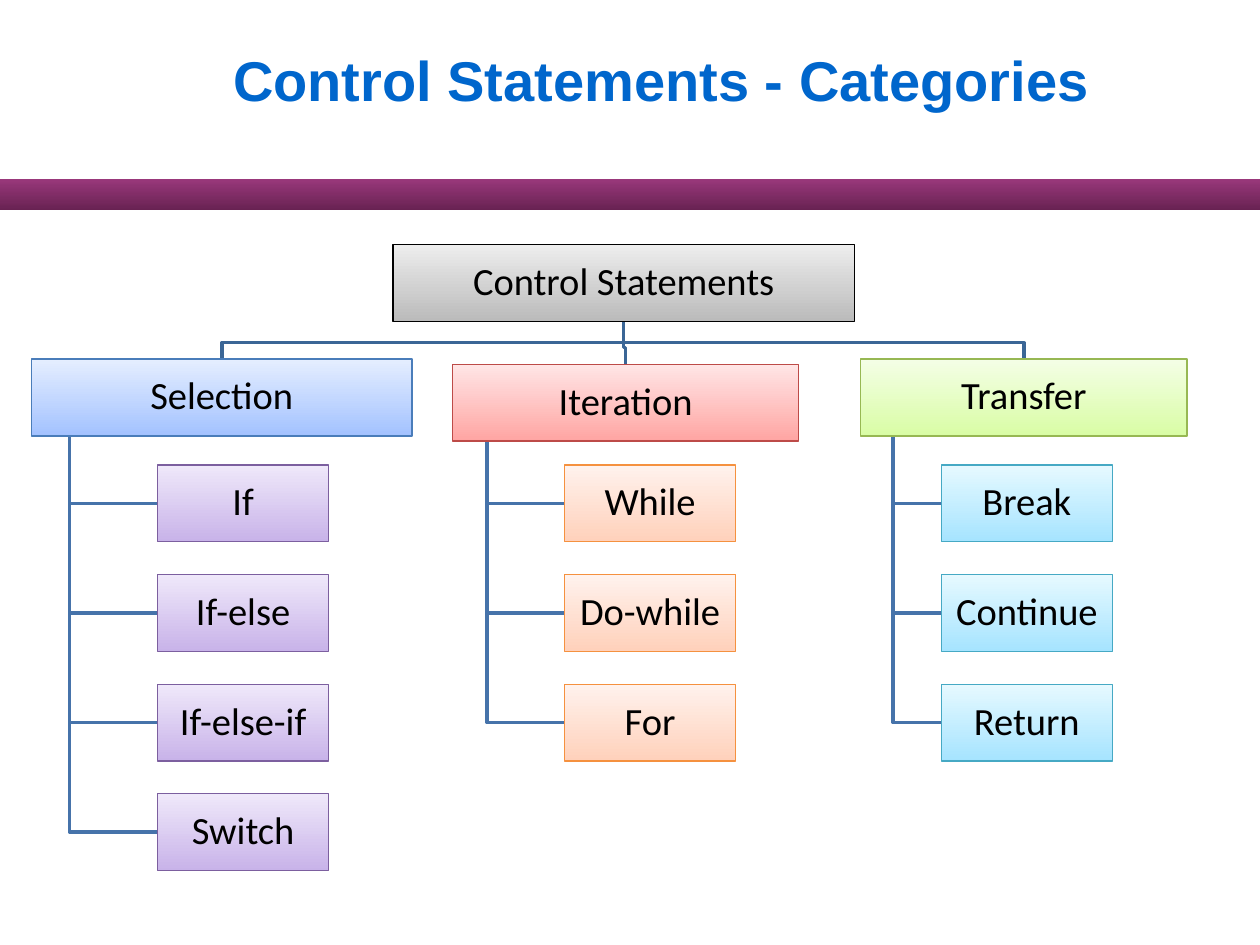
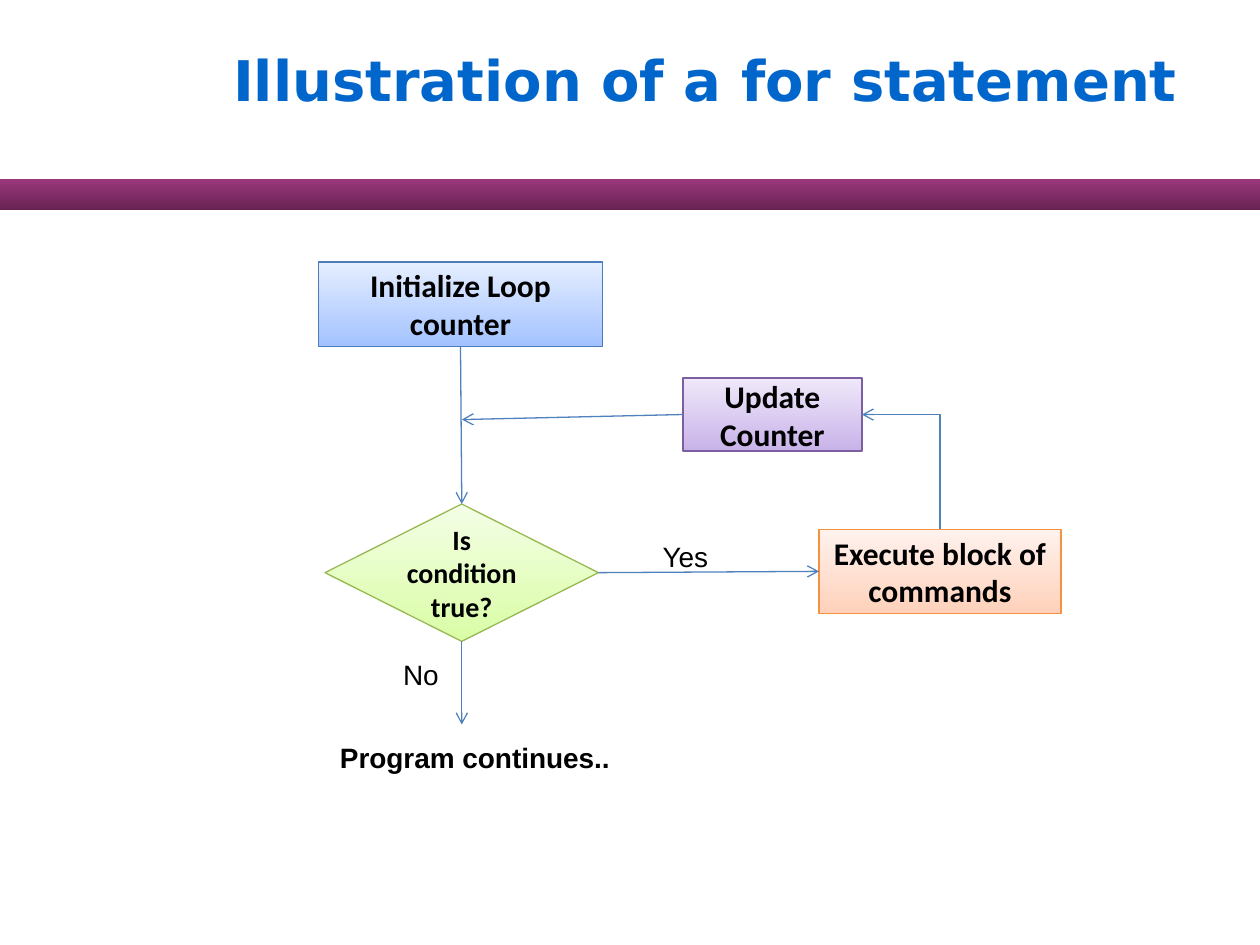
import dataclasses

import pptx
import pptx.dml.color
import pptx.enum.shapes
import pptx.enum.text
import pptx.oxml
import pptx.oxml.ns
import pptx.util

Inches = pptx.util.Inches
Pt = pptx.util.Pt
Shapes = pptx.enum.shapes.MSO_SHAPE
Connectors = pptx.enum.shapes.MSO_CONNECTOR
Align = pptx.enum.text.PP_ALIGN
Anchor = pptx.enum.text.MSO_ANCHOR
AutoSize = pptx.enum.text.MSO_AUTO_SIZE


@dataclasses.dataclass(frozen=True)
class Paint:
    """Vertical gradient from top to bottom with an optional outline."""

    top: str
    bottom: str
    line: str | None = None


@dataclasses.dataclass(frozen=True)
class Theme:
    """Colours, fonts and type sizes of the deck."""

    title_color: str = "0066CC"
    text_color: str = "000000"
    trunk_color: str = "3B6696"
    branch_color: str = "4673AA"
    arrow_color: str = "4F81BD"
    band: Paint = Paint("99387B", "682252")
    gray: Paint = Paint("EDEDED", "BBBBBB", "000000")
    blue: Paint = Paint("E5EEFF", "A3C2FF", "4A7DBA")
    red: Paint = Paint("FFE6E6", "FFA5A3", "BD4B48")
    green: Paint = Paint("F4FEE6", "D9FDA5", "97B853")
    purple: Paint = Paint("EFE8FA", "C8B3E9", "7C5F9F")
    orange: Paint = Paint("FFF2ED", "FFD1BB", "F5913F")
    cyan: Paint = Paint("E6F9FF", "A6E4FF", "46A9C4")
    label_font: str = "Arial"
    node_font: str = "Calibri"
    title_size: int = 32
    tree_size: int = 22
    step_size: int = 18
    label_size: int = 16
    thin_line: float = 0.75
    tree_line: float = 2


THEME = Theme()


@dataclasses.dataclass(frozen=True)
class Box:
    """Rectangle in inches."""

    left: float
    top: float
    width: float
    height: float

    @property
    def right(self):
        """Return the right edge."""
        return self.left + self.width

    @property
    def bottom(self):
        """Return the bottom edge."""
        return self.top + self.height

    @property
    def center(self):
        """Return the horizontal centre."""
        return self.left + self.width / 2

    @property
    def middle(self):
        """Return the vertical centre."""
        return self.top + self.height / 2

    def inner(self, left, top, width, height):
        """Return a box placed relative to this one."""
        return Box(self.left + left, self.top + top, width, height)

    def lengths(self):
        """Return the four values as lengths."""
        return [Inches(value) for value in dataclasses.astuple(self)]


def rgb(color):
    """Return a colour object for a hex string."""
    return pptx.dml.color.RGBColor.from_string(color)


def write_text(frame, text, *, font, size, color=THEME.text_color, bold=False,
               align=Align.LEFT, anchor=Anchor.MIDDLE, margins=(0.1, 0.05),
               wrap=True, auto_size=AutoSize.NONE, line_spacing=None):
    """Fill a text frame with one formatted paragraph."""
    frame.text = text
    frame.word_wrap = wrap
    frame.auto_size = auto_size
    frame.vertical_anchor = anchor
    frame.margin_left = frame.margin_right = Inches(margins[0])
    frame.margin_top = frame.margin_bottom = Inches(margins[1])
    paragraph = frame.paragraphs[0]
    paragraph.alignment = align
    paragraph.line_spacing = line_spacing
    run_font = paragraph.runs[0].font
    run_font.name = font
    run_font.size = Pt(size)
    run_font.bold = bold
    run_font.color.rgb = rgb(color)


def add_panel(slide, box, paint, kind=Shapes.RECTANGLE):
    """Add a gradient shape and return it."""
    shape = slide.shapes.add_shape(kind, *box.lengths())
    shape.shadow.inherit = False
    shape.fill.gradient()
    shape.fill.gradient_angle = 90
    for stop, color in zip(shape.fill.gradient_stops, (paint.bottom, paint.top)):
        stop.color.rgb = rgb(color)
    if paint.line:
        shape.line.color.rgb = rgb(paint.line)
        shape.line.width = Pt(THEME.thin_line)
    else:
        shape.line.fill.background()
    return shape


def add_polyline(slide, points, color):
    """Add an open outline through points given in inches."""
    corners = [(Inches(x), Inches(y)) for x, y in points]
    builder = slide.shapes.build_freeform(*corners[0])
    builder.add_line_segments(corners[1:], close=False)
    shape = builder.convert_to_shape()
    shape.shadow.inherit = False
    shape.fill.background()
    shape.line.color.rgb = rgb(color)
    shape.line.width = Pt(THEME.tree_line)


def add_arrow(slide, start, end, arrow_end="tailEnd", preset="line"):
    """Add a connector with an open arrowhead at one end."""
    ends = [Inches(value) for value in (*start, *end)]
    connector = slide.shapes.add_connector(Connectors.STRAIGHT, *ends)
    connector.line.color.rgb = rgb(THEME.arrow_color)
    connector.line.width = Pt(THEME.thin_line)
    properties = connector.element.spPr
    properties.find(pptx.oxml.ns.qn("a:prstGeom")).set("prst", preset)
    namespace = pptx.oxml.ns.nsdecls("a")
    line = properties.find(pptx.oxml.ns.qn("a:ln"))
    line.append(pptx.oxml.parse_xml(f'<a:{arrow_end} {namespace} type="arrow"/>'))
    properties.append(pptx.oxml.parse_xml(f"<a:effectLst {namespace}/>"))


def add_titled_slide(presentation, title, font):
    """Add a title-only slide with its formatted title."""
    slide = presentation.slides.add_slide(presentation.slide_layouts[5])
    placeholder = slide.shapes.title
    placeholder.left, placeholder.top, placeholder.width, placeholder.height = (
        Box(1.75, 0, 8.25, 1.25).lengths())
    write_text(placeholder.text_frame, title, font=font, size=THEME.title_size,
               color=THEME.title_color, bold=True)
    return slide


def move_band_to_layout(slide, box):
    """Draw the title band and hand it to the layout shared by all slides."""
    band = add_panel(slide, box, THEME.band)
    slide.slide_layout.shapes.element.insert(2, band.element)


def draw_tree_node(slide, box, text, paint):
    """Draw one labelled box of the hierarchy."""
    shape = add_panel(slide, box, paint)
    write_text(shape.text_frame, text, font=THEME.node_font, size=THEME.tree_size,
               align=Align.CENTER, margins=(0.02, 0.02), line_spacing=0.9)


def draw_branch(slide, header, children, name, header_paint, statements, child_paint):
    """Draw a category header with its statements hanging below it."""
    trunk = header.left + header.width / 10
    for index, statement in enumerate(statements):
        child = children.inner(0, 0.87 * index, children.width, children.height)
        add_polyline(slide, [(trunk, header.bottom), (trunk, child.middle),
                             (child.left, child.middle)], THEME.branch_color)
        draw_tree_node(slide, child, statement, child_paint)
    draw_tree_node(slide, header, name, header_paint)


def draw_hierarchy(slide, box):
    """Draw the control statement categories inside a box."""
    height = 0.61
    root = box.inner(2.87, 0, 3.66, height)
    branches = [
        (0, 0.91, 3.02, 1, "Selection", THEME.blue,
         ["If", "If-else", "If-else-if", "Switch"], THEME.purple),
        (3.34, 0.95, 2.75, 4.23, "Iteration", THEME.red,
         ["While", "Do-while", "For"], THEME.orange),
        (6.58, 0.91, 2.59, 7.22, "Transfer", THEME.green,
         ["Break", "Continue", "Return"], THEME.cyan),
    ]
    for left, top, width, child_left, *content in branches:
        header = box.inner(left, top, width, height)
        elbow = header.top - 0.13
        add_polyline(slide, [(root.center, root.bottom), (root.center, elbow),
                             (header.center, elbow), (header.center, header.top)],
                     THEME.trunk_color)
        draw_branch(slide, header, box.inner(child_left, 1.75, 1.36, height), *content)
    draw_tree_node(slide, root, "Control Statements", THEME.gray)


def draw_flowchart(slide, box):
    """Draw the flow of a for statement inside a box."""
    start = box.inner(0, 0, 2.25, 0.67)
    decision = box.inner(0.05, 1.92, 2.17, 1.09)
    update = box.inner(2.89, 0.92, 1.42, 0.58)
    body = box.inner(3.97, 2.12, 1.92, 0.67)
    process = Shapes.FLOWCHART_PROCESS
    steps = [
        (start, "Initialize Loop counter", THEME.blue, process, THEME.step_size),
        (decision, "Is condition true?", THEME.green, Shapes.FLOWCHART_DECISION,
         THEME.label_size),
        (update, "Update Counter", THEME.purple, process, THEME.step_size),
        (body, "Execute block of commands", THEME.orange, process, THEME.step_size),
    ]
    for place, text, paint, kind, size in steps:
        shape = add_panel(slide, place, paint, kind)
        write_text(shape.text_frame, text, font=THEME.node_font, size=size,
                   bold=True, align=Align.CENTER)

    add_arrow(slide, (decision.right, decision.middle), (body.left, body.middle))
    add_arrow(slide, (start.center, start.bottom), (decision.center, decision.top))
    add_arrow(slide, (decision.center, decision.bottom),
              (decision.center, decision.bottom + 0.66))
    add_arrow(slide, (update.left, update.middle), (decision.center, box.top + 1.25))
    add_arrow(slide, (update.right, update.middle), (body.center, body.top),
              arrow_end="headEnd", preset="bentConnector2")

    labels = [
        (2.63, 2.15, 0.58, "Yes", False),
        (0.57, 3.09, 0.48, "No", False),
        (0.07, 3.75, 2.34, "Program continues..", True),
    ]
    for left, top, width, text, bold in labels:
        label = slide.shapes.add_textbox(*box.inner(left, top, width, 0.37).lengths())
        write_text(label.text_frame, text, font=THEME.label_font, size=THEME.label_size,
                   bold=bold, anchor=Anchor.TOP, wrap=False,
                   auto_size=AutoSize.SHAPE_TO_FIT_TEXT)


def main():
    """Build and save the two slides."""
    presentation = pptx.Presentation()
    presentation.slide_width = Inches(10)
    presentation.slide_height = Inches(7.5)

    categories = add_titled_slide(presentation, "Control Statements - Categories", "Arial")
    move_band_to_layout(categories, Box(0, 1.42, 10, 0.25))
    draw_hierarchy(categories, Box(0.25, 1.94, 9.17, 4.97))

    illustration = add_titled_slide(presentation, "Illustration of a for statement",
                                    "DejaVu Sans")
    draw_flowchart(illustration, Box(2.53, 2.08, 5.89, 4.12))
    presentation.save("out.pptx")


if __name__ == "__main__":
    main()
